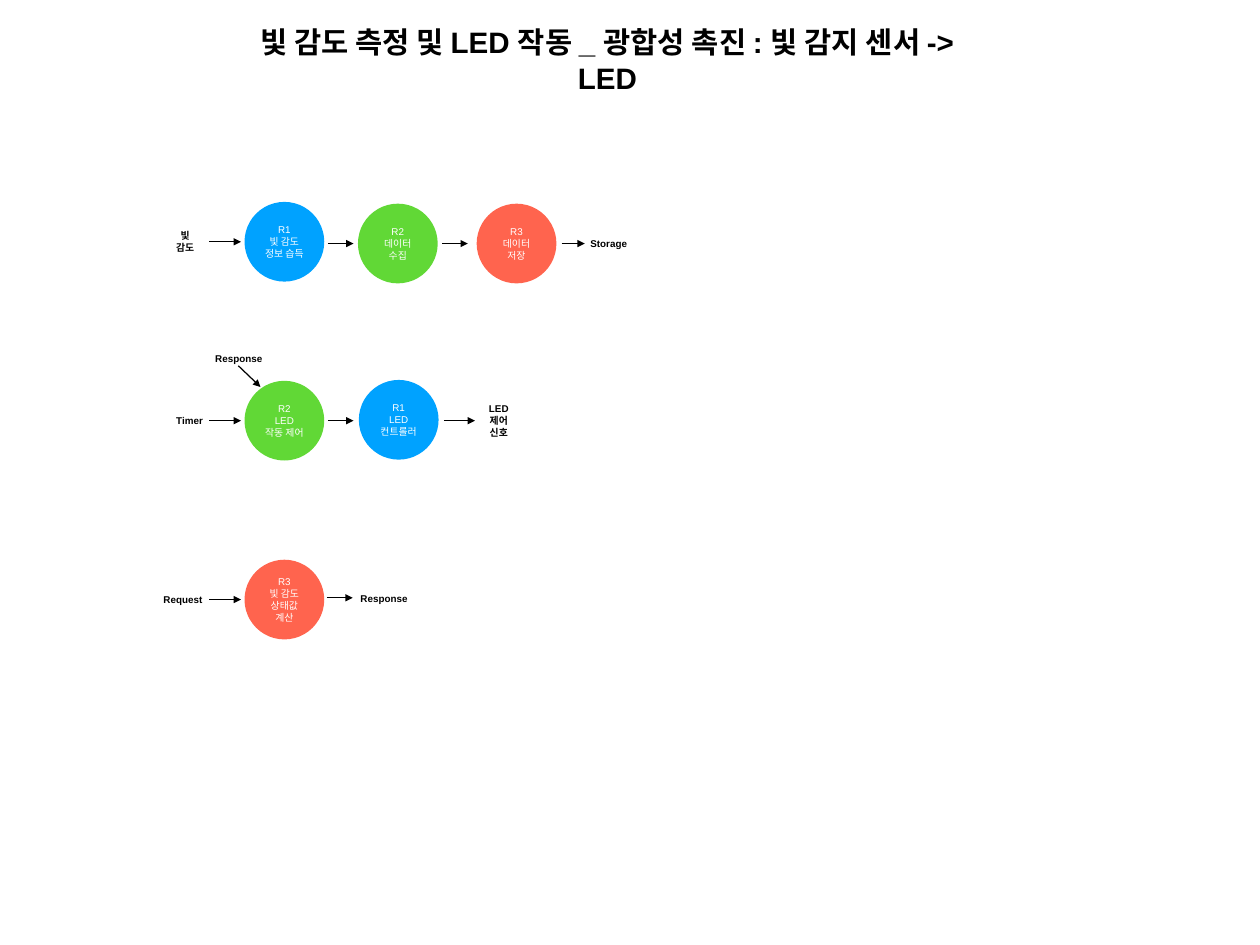
from dataclasses import dataclass

from lxml.etree import SubElement
from pptx import Presentation
from pptx.dml.color import RGBColor
from pptx.enum.shapes import MSO_CONNECTOR, MSO_SHAPE
from pptx.enum.text import MSO_ANCHOR, PP_ALIGN
from pptx.oxml.ns import qn
from pptx.util import Inches, Pt

BLACK, WHITE = "000000", "FFFFFF"
BLUE, GREEN, RED = "00A2FF", "61D836", "FF644E"
SIZE = 0.9
LEFT, RIGHT = 1, 3
SIGNAL = "LED\n제어 신호"


@dataclass
class Node:
    text: str
    x: float
    y: float
    fill: str


@dataclass
class Label:
    text: str
    x: float
    y: float
    w: float
    h: float = 0.26
    size: int = 8


@dataclass
class Arrow:
    x1: float
    y1: float
    x2: float
    y2: float
    start: str = ""
    end: str = ""


NODES = [
    Node("R1\n빛 감도 정보 습득", 2.76, 2.28, BLUE),
    Node("R2\n데이터 수집", 4.04, 2.3, GREEN),
    Node("R3\n데이터 저장", 5.38, 2.3, RED),
    Node("R2\nLED\n작동 제어", 2.76, 4.3, GREEN),
    Node("R1\nLED\n컨트롤러", 4.05, 4.29, BLUE),
    Node("R3\n빛 감도 상태값\n계산", 2.76, 6.32, RED),
]

LABELS = [
    Label("빛 감도 측정 및 LED 작동 _ 광합성 촉진 : 빛 감지 센서 -> LED",
          2.59, 0.41, 8.53, 0.53, 24),
    Label("빛 감도", 1.87, 2.6, 0.44),
    Label("Storage", 6.6, 2.62, 0.54),
    Label("Response", 2.32, 3.92, 0.75),
    Label("Timer", 1.92, 4.62, 0.44),
    Label(SIGNAL, 5.36, 4.55, 0.54, 0.4),
    Label("Request", 1.77, 6.64, 0.59),
    Label("Response", 3.96, 6.63, 0.75),
]

ARROWS = [
    Arrow(2.36, 2.73, 2.72, 2.73),
    Arrow(3.7, 2.75, 3.99, 2.75),
    Arrow(4.99, 2.75, 5.28, 2.75),
    Arrow(6.34, 2.75, 6.6, 2.75, end="Storage"),
    Arrow(2.69, 4.13, 2.94, 4.37),
    Arrow(2.36, 4.75, 2.72, 4.75, start="Timer"),
    Arrow(3.7, 4.75, 3.99, 4.75),
    Arrow(5.01, 4.75, 5.36, 4.75, end=SIGNAL),
    Arrow(2.36, 6.77, 2.72, 6.77, start="Request"),
    Arrow(3.69, 6.75, 3.98, 6.75),
]


def paint(part, color: str) -> None:
    part.rgb = RGBColor.from_string(color)


def write(shape, text: str, *, color: str = BLACK, size: int = 8,
          bold: bool = False) -> None:
    frame = shape.text_frame
    frame.text = text
    frame.word_wrap = True
    frame.vertical_anchor = MSO_ANCHOR.MIDDLE
    frame.margin_left = frame.margin_right = Inches(0.06)
    frame.margin_top = frame.margin_bottom = Inches(0.06)
    for para in frame.paragraphs:
        para.alignment = PP_ALIGN.CENTER
        for run in para.runs:
            run.font.name = "Arial"
            run.font.size = Pt(size)
            run.font.bold = bold
            paint(run.font.color, color)


def add_node(slide, node: Node) -> None:
    shape = slide.shapes.add_shape(
        MSO_SHAPE.OVAL, Inches(node.x), Inches(node.y), Inches(SIZE), Inches(SIZE))
    shape.shadow.inherit = False
    shape.fill.solid()
    paint(shape.fill.fore_color, node.fill)
    shape.line.fill.background()
    write(shape, node.text, color=WHITE)


def add_label(slide, label: Label):
    box = slide.shapes.add_textbox(
        Inches(label.x), Inches(label.y), Inches(label.w), Inches(label.h))
    write(box, label.text, size=label.size, bold=True)
    return box


def add_arrow(slide, arrow: Arrow, boxes: dict) -> None:
    line = slide.shapes.add_connector(
        MSO_CONNECTOR.STRAIGHT, Inches(arrow.x1), Inches(arrow.y1),
        Inches(arrow.x2), Inches(arrow.y2))
    if arrow.start:
        line.begin_connect(boxes[arrow.start], RIGHT)
    if arrow.end:
        line.end_connect(boxes[arrow.end], LEFT)
    line.line.width = Pt(1)
    line.line.fill.solid()
    paint(line.line.fill.fore_color, BLACK)
    props = line._element.spPr
    SubElement(props.find(qn("a:ln")), qn("a:tailEnd"), type="triangle")
    SubElement(props, qn("a:effectLst"))


def main() -> None:
    deck = Presentation()
    deck.slide_width, deck.slide_height = Inches(14.22), Inches(10.67)
    slide = deck.slides.add_slide(deck.slide_layouts[6])
    for node in NODES:
        add_node(slide, node)
    boxes = {label.text: add_label(slide, label) for label in LABELS}
    for arrow in ARROWS:
        add_arrow(slide, arrow, boxes)
    deck.save("out.pptx")


if __name__ == "__main__":
    main()
